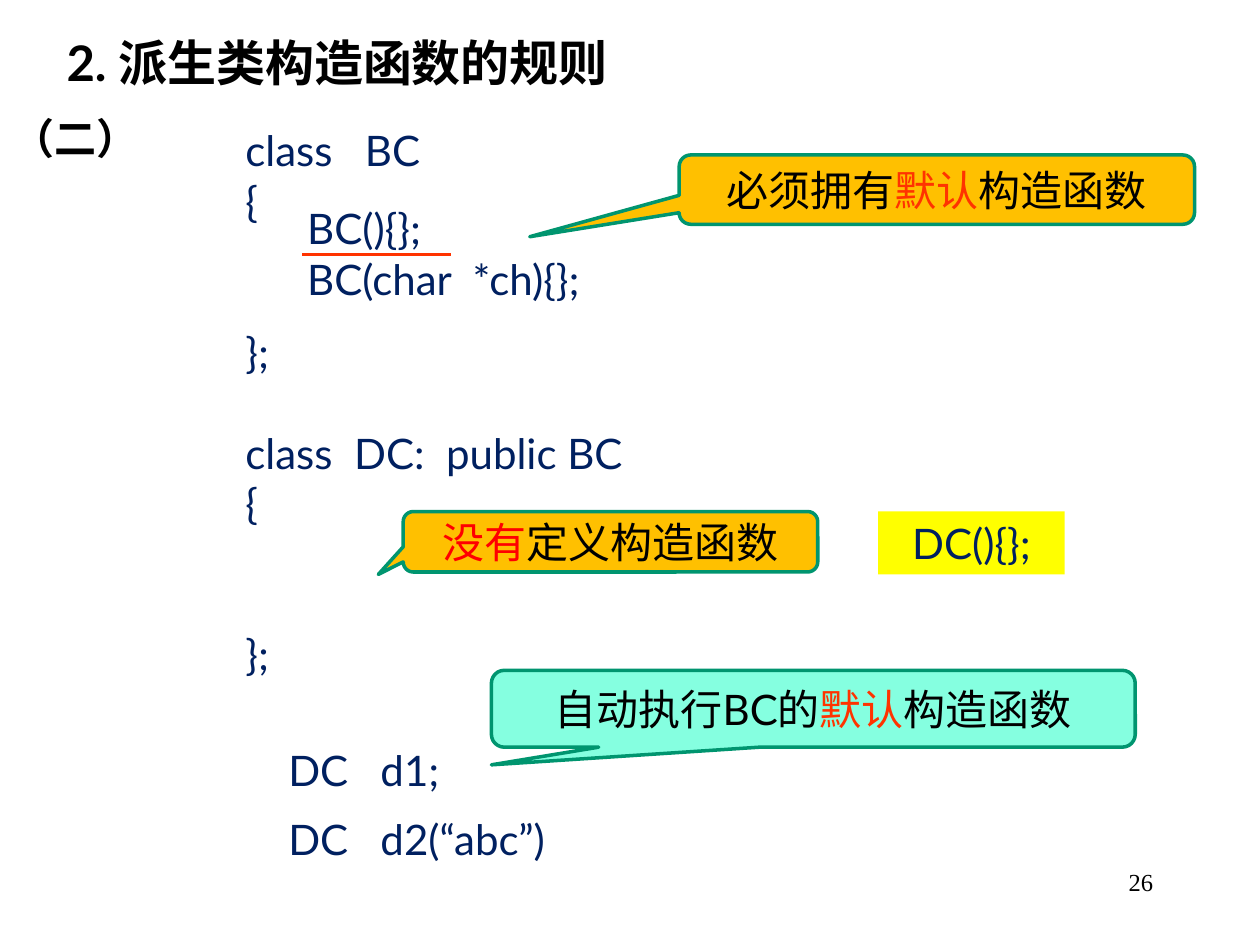
from lxml import etree
from pptx import Presentation
from pptx.dml.color import RGBColor
from pptx.enum.shapes import MSO_CONNECTOR, MSO_SHAPE
from pptx.enum.text import MSO_ANCHOR, PP_ALIGN
from pptx.oxml.ns import qn
from pptx.util import Inches, Pt

LEFT, CENTER, RIGHT = PP_ALIGN.LEFT, PP_ALIGN.CENTER, PP_ALIGN.RIGHT
TOP, MIDDLE = MSO_ANCHOR.TOP, MSO_ANCHOR.MIDDLE
CALLOUT, RECTANGLE = MSO_SHAPE.ROUNDED_RECTANGULAR_CALLOUT, MSO_SHAPE.RECTANGLE
STRAIGHT = MSO_CONNECTOR.STRAIGHT

COLORS = {
    "black": "000000",
    "code": "002060",
    "red": "FF0000",
    "accent": "FF3300",
    "orange": "FFC000",
    "mint": "85FFE0",
    "border": "00956F",
    "yellow": "FFFF00",
}
LATIN, CHINESE, NUMBER = "Lato", "Noto Sans CJK SC", "Times New Roman"
CODE_LINE = 28.8  # height in points of one line of 24 pt code


def color(name):
    return RGBColor.from_string(COLORS[name])


def write(shape, lines, size=24, font=LATIN, ink="code", bold=False,
          align=LEFT, anchor=TOP, gaps=None):
    """Fill a shape with lines; a line is a string or a list of (text, ink, font).

    gaps maps a line's index to the space before it, in points.
    """
    frame = shape.text_frame
    frame.word_wrap = True
    frame.vertical_anchor = anchor
    for index, line in enumerate(lines):
        para = frame.paragraphs[0] if index == 0 else frame.add_paragraph()
        para.alignment = align
        if gaps and index in gaps:
            para.space_before = Pt(gaps[index])
        spans = [(line, ink, font)] if isinstance(line, str) else line
        for text, span_ink, span_font in spans:
            span = para.add_run()
            span.text = text
            span.font.size = Pt(size)
            span.font.bold = bold
            span.font.name = span_font
            span.font.color.rgb = color(span_ink)
            east_asian = etree.SubElement(span.font._element, qn("a:ea"))
            east_asian.set("typeface", CHINESE)


def add_text(page, box, *lines, **style):
    write(page.shapes.add_textbox(*map(Inches, box)), lines, **style)


def add_panel(page, kind, box, fill, border=None):
    panel = page.shapes.add_shape(kind, *map(Inches, box))
    panel.shadow.inherit = False
    panel.fill.solid()
    panel.fill.fore_color.rgb = color(fill)
    if border:
        panel.line.color.rgb = color(border)
        panel.line.width = Pt(2)
    else:
        panel.line.fill.background()
    return panel


def add_callout(page, box, tip, fill, spans):
    """Place a callout; tip is the pointer's offset from the centre, as parts of the box."""
    callout = add_panel(page, CALLOUT, box, fill, "border")
    callout.adjustments[0], callout.adjustments[1] = tip
    write(callout, [spans], align=CENTER, anchor=MIDDLE)


def add_underline(page, left, top, width):
    line = page.shapes.add_connector(
        STRAIGHT, Inches(left), Inches(top), Inches(left + width), Inches(top))
    line.line.color.rgb = color("accent")
    line.line.width = Pt(2.25)
    etree.SubElement(line._element.spPr, qn("a:effectLst"))


def add_heading(page):
    add_text(page, (0.43, 0.21, 6.26, 0.57), "2. 派生类构造函数的规则",
             size=28, ink="black", bold=True)
    add_text(page, (0, 0.84, 4.1, 0.5), "（二）", ink="black", bold=True)


def add_classes(page, left, top):
    add_text(page, (left, top, 3.46, 4.5),
             "class   BC", "{", "};", "class  DC:  public BC", "{", "};",
             gaps={2: 2 * CODE_LINE, 3: CODE_LINE, 5: 2 * CODE_LINE})
    add_text(page, (left + 0.49, top + 0.62, 2.97, 0.9),
             "BC(){};", "BC(char  *ch){};")
    add_underline(page, left + 0.55, top + 1.08, 1.18)


def add_objects(page, left, top):
    for row, code in enumerate(("DC   d1;", "DC   d2(“abc”)")):
        add_text(page, (left, top + row * 0.55, 2.5, 0.5), code)


def add_notes_on_code(page):
    default = ("默认", "accent", CHINESE)
    constructor = ("构造函数", "black", CHINESE)
    add_callout(page, (3.2, 4.06, 3.29, 0.48), (-0.56, 0.54), "orange",
                [("没有", "red", LATIN), ("定义构造函数", "black", CHINESE)])
    add_callout(page, (5.39, 1.23, 4.09, 0.55), (-0.79, 0.68), "orange",
                [("必须拥有", "black", CHINESE), default, constructor])
    add_callout(page, (3.9, 5.32, 5.11, 0.61), (-0.5, 0.73), "mint",
                [("自动执行", "black", CHINESE), ("BC", "black", LATIN),
                 ("的", "black", CHINESE), default, constructor])
    implicit = add_panel(page, RECTANGLE, (6.97, 4.06, 1.48, 0.5), "yellow")
    write(implicit, ["DC(){};"], align=CENTER)


def main():
    deck = Presentation()
    deck.slide_width, deck.slide_height = Inches(10), Inches(7.5)
    page = deck.slides.add_slide(deck.slide_layouts[6])
    add_text(page, (7.17, 6.83, 2.08, 0.5), "26",
             size=14, font=NUMBER, ink="black", align=RIGHT)
    add_classes(page, 1.85, 0.94)
    add_notes_on_code(page)
    add_objects(page, 2.19, 5.86)
    add_heading(page)
    deck.save("out.pptx")


if __name__ == "__main__":
    main()
